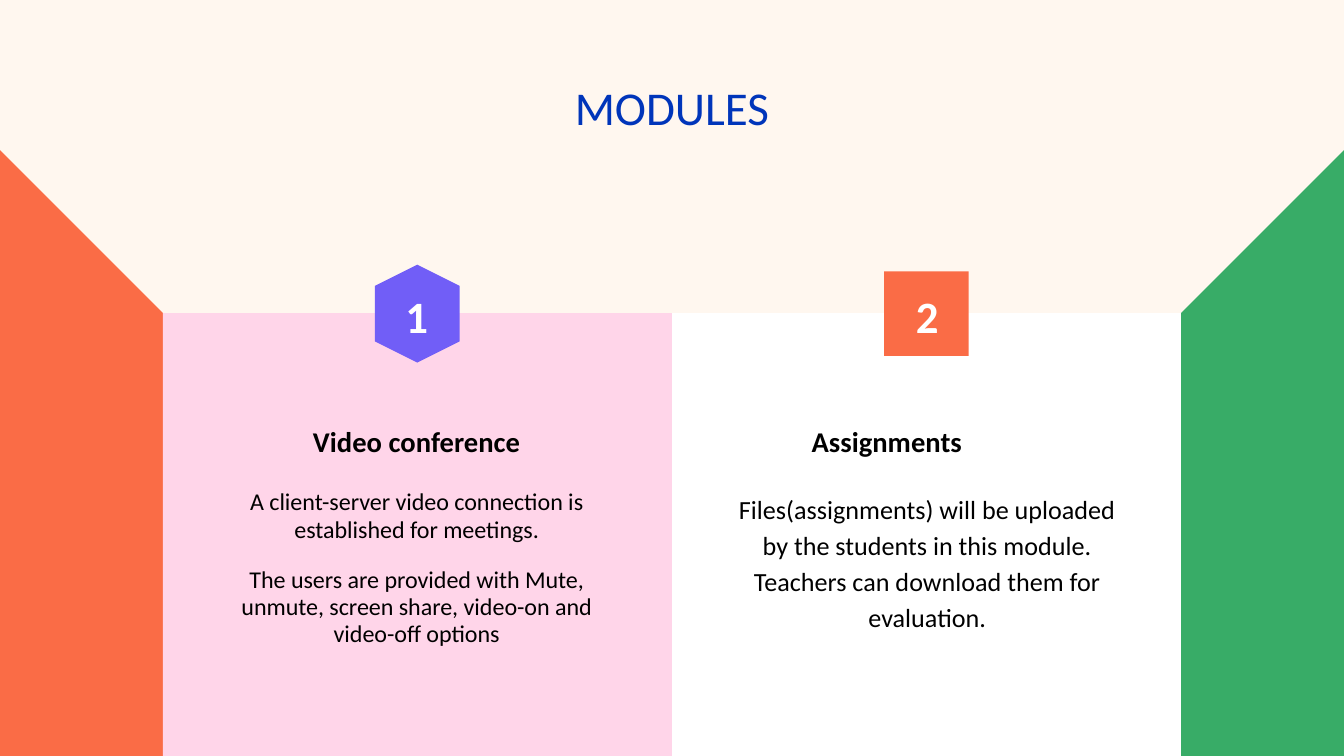
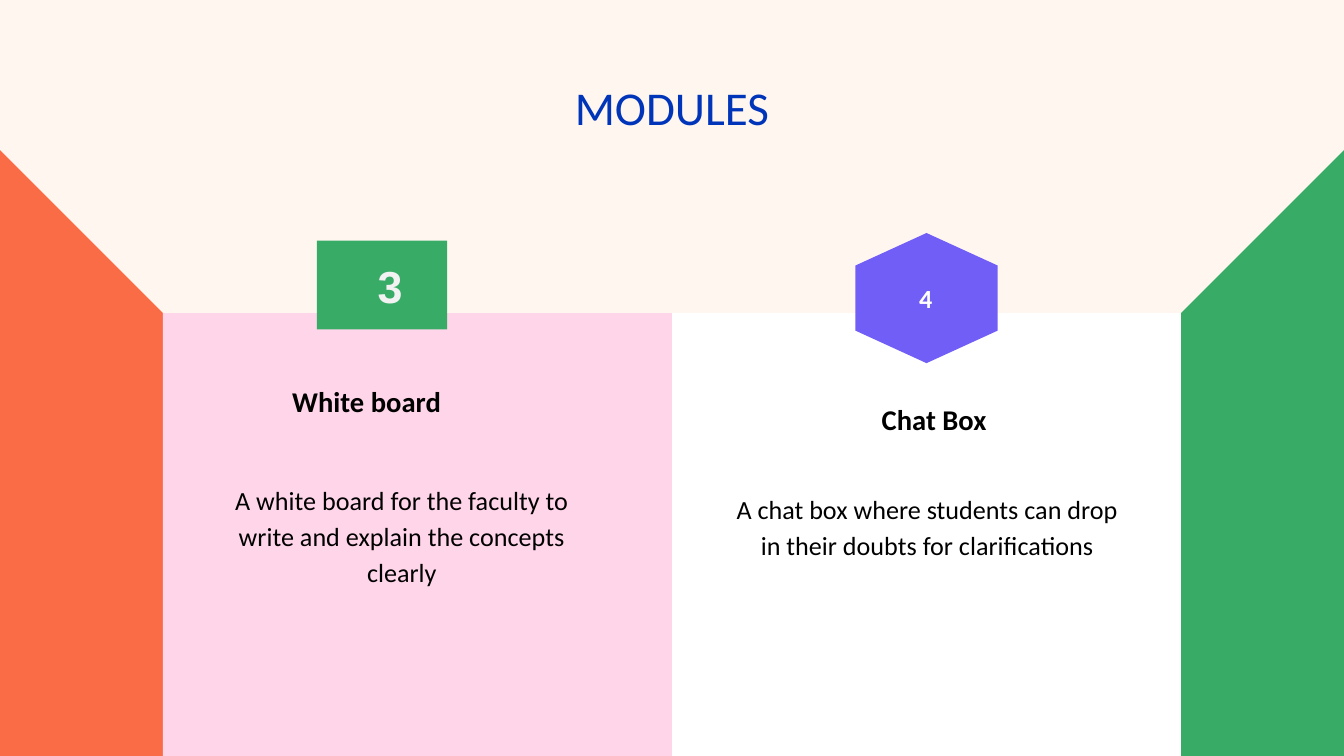
from dataclasses import dataclass

from pptx import Presentation
from pptx.dml.color import RGBColor
from pptx.enum.shapes import MSO_SHAPE
from pptx.enum.text import MSO_ANCHOR, MSO_AUTO_SIZE, PP_ALIGN
from pptx.util import Cm, Pt

RECTANGLE, HEXAGON = MSO_SHAPE.RECTANGLE, MSO_SHAPE.HEXAGON
TRIANGLE = MSO_SHAPE.RIGHT_TRIANGLE
LEFT, CENTER = PP_ALIGN.LEFT, PP_ALIGN.CENTER
TOP, MIDDLE = MSO_ANCHOR.TOP, MSO_ANCHOR.MIDDLE
NO_AUTOFIT = MSO_AUTO_SIZE.NONE


@dataclass(frozen=True)
class Theme:
    """Colours, fonts and type sizes shared by the slides."""

    cream: str = "FFF7EF"
    green: str = "38AC67"
    orange: str = "FA6C46"
    purple: str = "715EF7"
    pink: str = "FFD5E9"
    white: str = "FFFFFF"
    pale: str = "F2F2F2"
    black: str = "000000"
    blue: str = "0035BA"
    font: str = "Calibri"
    badge_font: str = "Arial"
    title_size: float = 25.2
    number_size: float = 24
    heading_size: float = 15.3
    body_size: float = 14
    compact_size: float = 12.9
    inset: float = 0.25


THEME = Theme()
WIDTH, HEIGHT = 25.4, 14.29
WALL = 11.45
PANEL_WIDTH, PANEL_TOP = 9.62, 5.92
TEXT_WIDTH, HEADING_HEIGHT, BODY_HEIGHT = 7.77, 1.6, 4.06
LEFT_COLUMN, RIGHT_COLUMN = 3.99, 13.64
HEADING_TOP, BODY_TOP = 7.82, 8.99
BADGE, BADGE_TOP = 1.6, 5.13


def place(shape, left, top, width, height):
    """Move and size a shape, in centimetres."""
    shape.left, shape.top = Cm(left), Cm(top)
    shape.width, shape.height = Cm(width), Cm(height)


def add_block(slide, kind, box, color, rotation=0):
    """Add a plain filled preset shape."""
    shape = slide.shapes.add_shape(kind, *map(Cm, box))
    shape.shadow.inherit = False
    shape.fill.solid()
    shape.fill.fore_color.rgb = RGBColor.from_string(color)
    shape.line.fill.background()
    shape.rotation = rotation
    return shape


def write(shape, texts, size, color=THEME.black, bold=False, align=CENTER,
          anchor=TOP, spacing=1.0, indent=0, font=THEME.font):
    """Fill a shape with one styled run per paragraph."""
    frame = shape.text_frame
    frame.word_wrap = True
    frame.auto_size = NO_AUTOFIT
    frame.vertical_anchor = anchor
    frame.margin_left = Cm(THEME.inset + indent)
    frame.margin_right = frame.margin_top = frame.margin_bottom = Cm(THEME.inset)
    for index, text in enumerate(texts):
        paragraph = frame.add_paragraph() if index else frame.paragraphs[0]
        paragraph.alignment = align
        paragraph.line_spacing = spacing
        paragraph.space_before = Pt(12 if index else 0)
        run = paragraph.add_run()
        run.text = text
        run.font.name = font
        run.font.size = Pt(size)
        run.font.bold = bold
        run.font.color.rgb = RGBColor.from_string(color)


def add_text(slide, box, texts, size, **style):
    """Add a text box with styled paragraphs."""
    write(slide.shapes.add_textbox(*map(Cm, box)), texts, size, **style)


def add_heading(slide, text, left, top=HEADING_TOP, **style):
    """Add the bold name of a module."""
    add_text(slide, (left, top, TEXT_WIDTH, HEADING_HEIGHT), [text],
             THEME.heading_size, bold=True, spacing=0.95, **style)


def add_body(slide, texts, left, top=BODY_TOP, size=THEME.body_size, spacing=1.15):
    """Add the description of a module."""
    add_text(slide, (left, top, TEXT_WIDTH, BODY_HEIGHT), texts, size, spacing=spacing)


def add_number(slide, text, left):
    """Add a large white number over a badge."""
    add_text(slide, (left, 5.23, 1.47, 1.47), [text], THEME.number_size,
             color=THEME.white, bold=True, anchor=MIDDLE)


def add_modules_slide(presentation, layout):
    """Add a slide with the shared title."""
    slide = presentation.slides.add_slide(layout)
    title = slide.shapes.title
    place(title, 1.98, 1.24, 21.44, 1.6)
    write(title, ["MODULES"], THEME.title_size, color=THEME.blue)
    return slide


def decorate_layout(layout, slide):
    """Draw the room of walls and panels and move it into the layout."""
    layout.background.fill.solid()
    layout.background.fill.fore_color.rgb = RGBColor.from_string(THEME.cream)
    wall_top, middle = HEIGHT - WALL, WIDTH / 2
    panel_height = HEIGHT - PANEL_TOP
    right_wall = add_block(slide, TRIANGLE, (WIDTH - WALL, wall_top, WALL, WALL), THEME.green)
    right_wall._element.spPr.xfrm.set("flipH", "1")
    left_wall = add_block(slide, TRIANGLE, (0, wall_top, WALL, WALL), THEME.orange)
    right_panel = add_block(
        slide, RECTANGLE, (middle, PANEL_TOP, PANEL_WIDTH, panel_height), THEME.white)
    left_panel = add_block(
        slide, RECTANGLE, (middle - PANEL_WIDTH, PANEL_TOP, PANEL_WIDTH, panel_height), THEME.pink)
    for index, shape in enumerate((right_wall, left_wall, right_panel, left_panel)):
        element = shape._element
        element.nvSpPr.cNvPr.set("id", str(100 + index))
        layout.shapes._spTree.insert(2 + index, element)


def fill_conference_and_assignments(slide):
    """Describe modules one and two."""
    add_block(slide, HEXAGON, (6.96, BADGE_TOP, 1.85, BADGE), THEME.purple, rotation=90)
    add_block(slide, RECTANGLE, (16.71, BADGE_TOP, BADGE, BADGE), THEME.orange)
    add_body(slide, [
        "A client-server video connection is established for meetings.",
        "The users are provided with Mute, unmute, screen share, video-on and video-off options",
    ], LEFT_COLUMN, size=THEME.compact_size, spacing=0.95)
    add_heading(slide, "Video conference", LEFT_COLUMN)
    add_heading(slide, "Assignments", RIGHT_COLUMN, align=LEFT, indent=1.45)
    add_body(slide, [
        "Files(assignments) will be uploaded by the students in this module. "
        "Teachers can download them for evaluation.",
    ], RIGHT_COLUMN)
    add_number(slide, "1", 7.14)
    add_number(slide, "2", 16.79)


def fill_board_and_chat(slide):
    """Describe modules three and four."""
    add_heading(slide, "White board", 4.78, top=7.06, align=LEFT, indent=0.49)
    add_heading(slide, "Chat Box", 13.77, top=7.39)
    add_body(slide, ["A white board for the faculty to write and explain the concepts clearly"],
             3.71, top=8.81)
    add_body(slide, ["A chat box where students can drop in their doubts for clarifications"],
             RIGHT_COLUMN)
    badge = add_block(slide, RECTANGLE, (5.99, 4.55, 2.46, 1.68), THEME.green)
    write(badge, ["3"], THEME.number_size, color=THEME.pale, bold=True, align=LEFT,
          anchor=MIDDLE, indent=0.9, font=THEME.badge_font)
    add_block(slide, HEXAGON, (16.28, 4.29, 2.46, 2.69), THEME.purple, rotation=90)
    add_text(slide, (17.12, 5.08, 1.07, 1.12), ["4"], THEME.body_size,
             color=THEME.white, bold=True, align=LEFT)


def main():
    """Build and save the presentation."""
    presentation = Presentation()
    presentation.slide_width, presentation.slide_height = Cm(WIDTH), Cm(HEIGHT)
    layout = presentation.slide_layouts[5]
    first = add_modules_slide(presentation, layout)
    decorate_layout(layout, first)
    fill_conference_and_assignments(first)
    fill_board_and_chat(add_modules_slide(presentation, layout))
    presentation.save("out.pptx")


if __name__ == "__main__":
    main()
